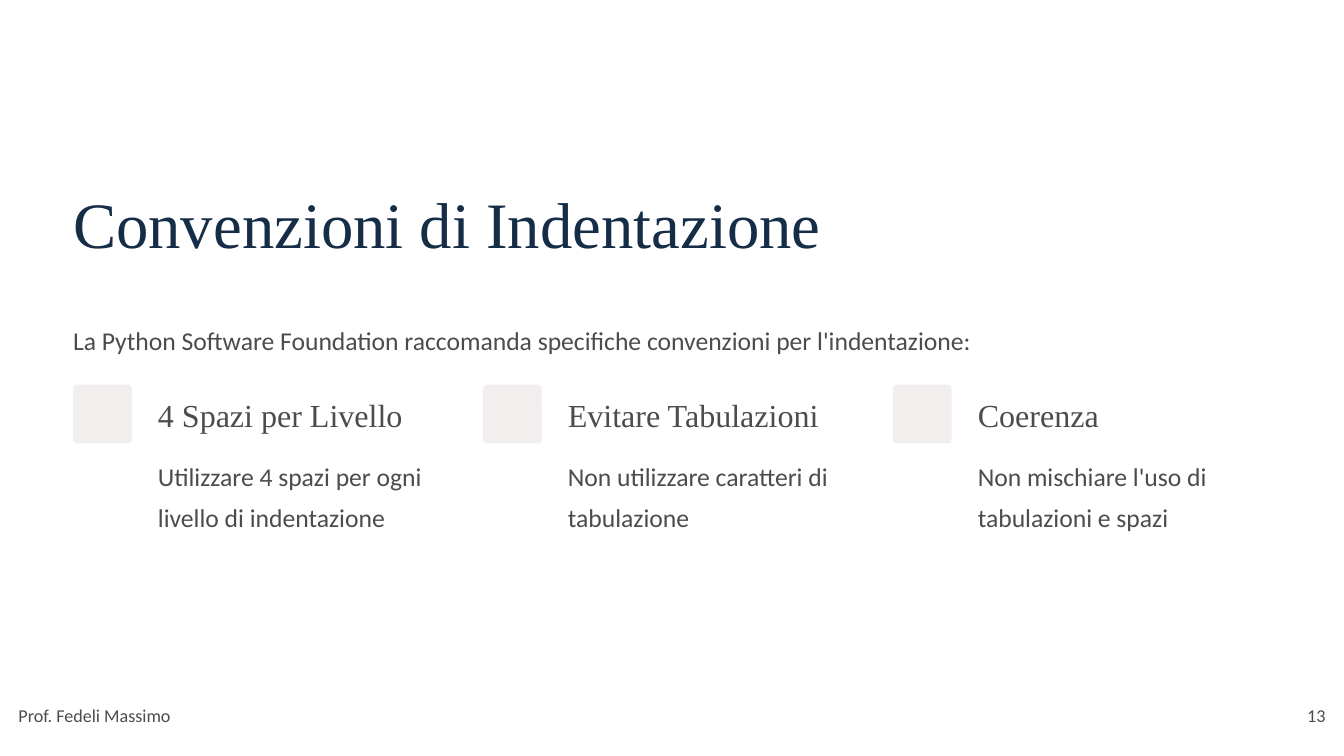
from pptx import Presentation
from pptx import util as u
from pptx.dml import color
from pptx.enum import shapes, text

COLORS = {"paper": "FFFFFF", "title": "152D47", "body": "4C4C4D", "tile": "F2EEEE"}
SERIF, SANS = "Times New Roman", "Calibri"
CONVENTIONS = [
    ("4 Spazi per Livello", "Utilizzare 4 spazi per ogni livello di indentazione"),
    ("Evitare Tabulazioni", "Non utilizzare caratteri di tabulazione"),
    ("Coerenza", "Non mischiare l'uso di tabulazioni e spazi"),
]


def rgb(name):
    """Return the named palette colour."""
    return color.RGBColor.from_string(COLORS[name])


def add_text(slide, box, wording, size, leading, font=SANS, ink="body",
             align=text.PP_ALIGN.LEFT):
    """Place one paragraph without margins in the box."""
    frame = slide.shapes.add_textbox(*map(u.Inches, box)).text_frame
    frame.margin_left = frame.margin_right = 0
    frame.margin_top = frame.margin_bottom = 0
    frame.word_wrap = True
    paragraph = frame.paragraphs[0]
    paragraph.text = wording
    paragraph.alignment = align
    paragraph.line_spacing = u.Pt(leading)
    paragraph.font.name = font
    paragraph.font.size = u.Pt(size)
    paragraph.font.color.rgb = rgb(ink)


def add_heading(slide, left, top, width):
    """Place the title and the introductory sentence."""
    add_text(slide, (left, top, width, 0.97), "Convenzioni di Indentazione",
             55.5, 69.5, SERIF, "title")
    add_text(slide, (left, top + 1.59, width, 0.5),
             "La Python Software Foundation raccomanda specifiche convenzioni "
             "per l'indentazione:", 22, 35.5)


def add_convention(slide, left, top, width, name, advice):
    """Place a tile with a convention's name and advice beside it."""
    tile = slide.shapes.add_shape(
        shapes.MSO_SHAPE.ROUNDED_RECTANGLE,
        *map(u.Inches, (left, top, 0.7, 0.7)))
    tile.adjustments[0] = 0.067
    tile.shadow.inherit = False
    tile.fill.solid()
    tile.fill.fore_color.rgb = rgb("tile")
    tile.line.fill.background()
    indent = 1.01
    add_text(slide, (left + indent, top + 0.11, width - indent, 0.48),
             name, 27.5, 34.5, SERIF)
    add_text(slide, (left + indent, top + 0.78, width - indent, 0.99),
             advice, 22, 35.5)


def add_conventions(slide, left, top, width, gap=0.38):
    """Share the width equally among the conventions."""
    count = len(CONVENTIONS)
    column = (width - gap * (count - 1)) / count
    for index, (name, advice) in enumerate(CONVENTIONS):
        add_convention(slide, left + index * (column + gap), top, column, name, advice)


def add_footer(slide, left, top, width):
    """Place the author at the left and the page number at the right."""
    add_text(slide, (left, top, 2.31, 0.35), "Prof. Fedeli Massimo", 15.5, 25)
    add_text(slide, (left + width - 0.5, top, 0.5, 0.35), "13", 15.5, 25,
             align=text.PP_ALIGN.RIGHT)


def main():
    """Build and save the slide."""
    deck = Presentation()
    deck.slide_width, deck.slide_height = u.Inches(16), u.Inches(9)
    slide = deck.slides.add_slide(deck.slide_layouts[6])
    slide.background.fill.solid()
    slide.background.fill.fore_color.rgb = rgb("paper")
    add_heading(slide, 0.87, 2.15, 14.26)
    add_conventions(slide, 0.87, 4.58, 14.26)
    add_footer(slide, 0.22, 8.3, 15.56)
    deck.save("out.pptx")


if __name__ == "__main__":
    main()
